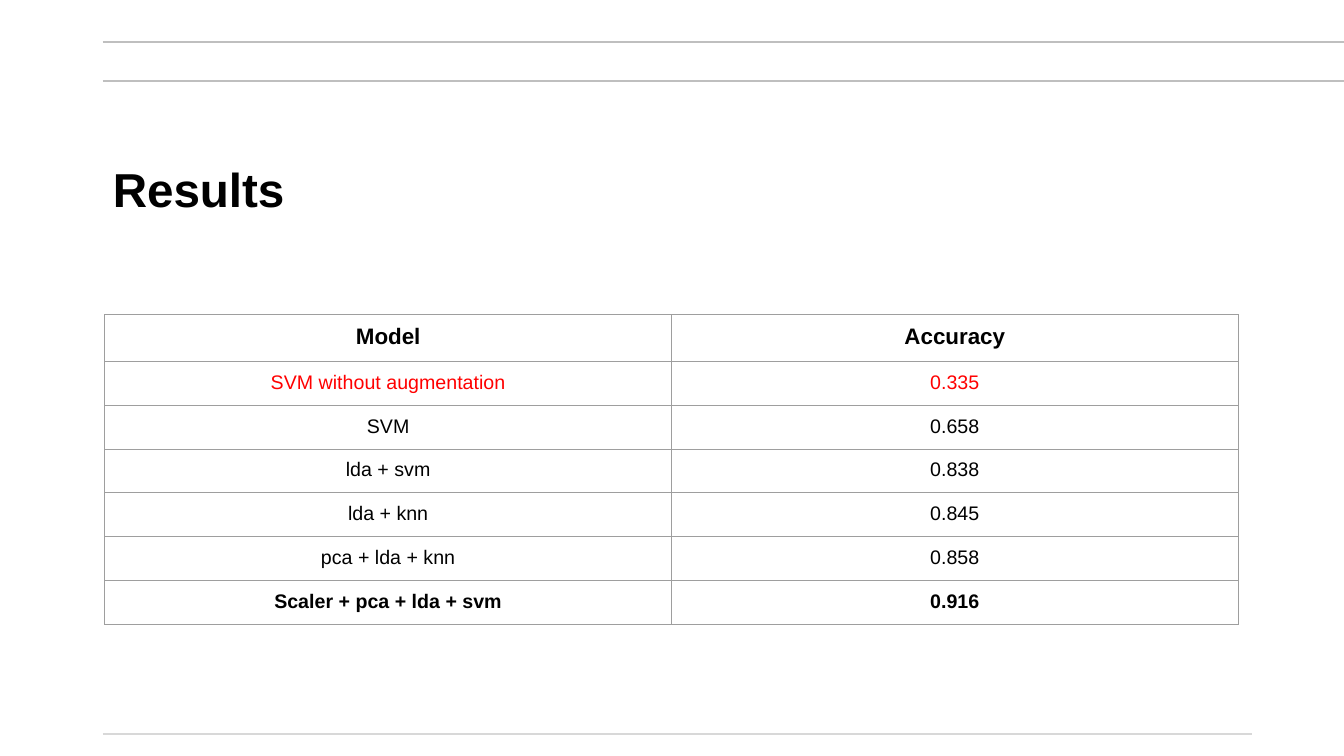
from lxml import etree
from pptx import Presentation
from pptx.dml.color import RGBColor
from pptx.enum.shapes import MSO_CONNECTOR
from pptx.enum.text import MSO_ANCHOR, PP_ALIGN
from pptx.oxml.ns import qn
from pptx.util import Inches, Pt

STRAIGHT = MSO_CONNECTOR.STRAIGHT
MIDDLE = MSO_ANCHOR.MIDDLE
TOP = MSO_ANCHOR.TOP
CENTER = PP_ALIGN.CENTER
BLACK, RED, BORDER = "000000", "FF0000", "9E9E9E"


def color(value):
    return RGBColor.from_string(value)


def set_font(para, size, bold, value):
    para.font.name = "Arial"
    para.font.size = Pt(size)
    para.font.bold = bold
    para.font.color.rgb = color(value)


deck = Presentation()
deck.slide_width = Inches(13.33)
deck.slide_height = Inches(7.5)
page = deck.slides.add_slide(deck.slide_layouts[6])

for y, right, line_color in [
    (0.8, 13.33, "BFBFBF"),
    (0.42, 13.33, "BFBFBF"),
    (7.28, 12.42, "D8D8D8"),
]:
    rule = page.shapes.add_connector(
        STRAIGHT, Inches(1.02), Inches(y), Inches(right), Inches(y))
    rule.line.color.rgb = color(line_color)
    rule.line.width = Pt(1.5)
    etree.SubElement(rule._element.spPr, qn("a:effectLst"))

title = page.shapes.add_textbox(Inches(1.02), Inches(1.28), Inches(11.39), Inches(1.25))
title_frame = title.text_frame
title_frame.word_wrap = True
title_frame.vertical_anchor = MIDDLE
title_frame.text = "Results"
title_frame.paragraphs[0].line_spacing = 0.9
set_font(title_frame.paragraphs[0], 34, True, BLACK)

results = [
    ("Model", "Accuracy", 16, True, BLACK),
    ("SVM without augmentation", "0.335", 14, False, RED),
    ("SVM", "0.658", 14, False, BLACK),
    ("lda + svm", "0.838", 14, False, BLACK),
    ("lda + knn", "0.845", 14, False, BLACK),
    ("pca + lda + knn", "0.858", 14, False, BLACK),
    ("Scaler + pca + lda + svm", "0.916", 14, True, BLACK),
]
table = page.shapes.add_table(
    len(results), 2, Inches(1.04), Inches(3.12), Inches(11.24), Inches(2.94)).table
table.first_row = False
table.horz_banding = False
for column in table.columns:
    column.width = Inches(5.62)

for row_index, (model, accuracy, size, bold, text_color) in enumerate(results):
    table.rows[row_index].height = Inches(0.42)
    for column_index, text in enumerate((model, accuracy)):
        cell = table.cell(row_index, column_index)
        cell.margin_left = cell.margin_right = Inches(0.1)
        cell.margin_top = cell.margin_bottom = Inches(0.1)
        cell.vertical_anchor = TOP
        cell.text = text
        para = cell.text_frame.paragraphs[0]
        para.alignment = CENTER
        set_font(para, size, bold, text_color)
        properties = cell._tc.get_or_add_tcPr()
        for side in ("a:lnL", "a:lnR", "a:lnT", "a:lnB"):
            edge = etree.SubElement(properties, qn(side), w=str(Pt(0.75)))
            edge_fill = etree.SubElement(edge, qn("a:solidFill"))
            etree.SubElement(edge_fill, qn("a:srgbClr"), val=BORDER)
        cell.fill.background()

deck.save("out.pptx")
